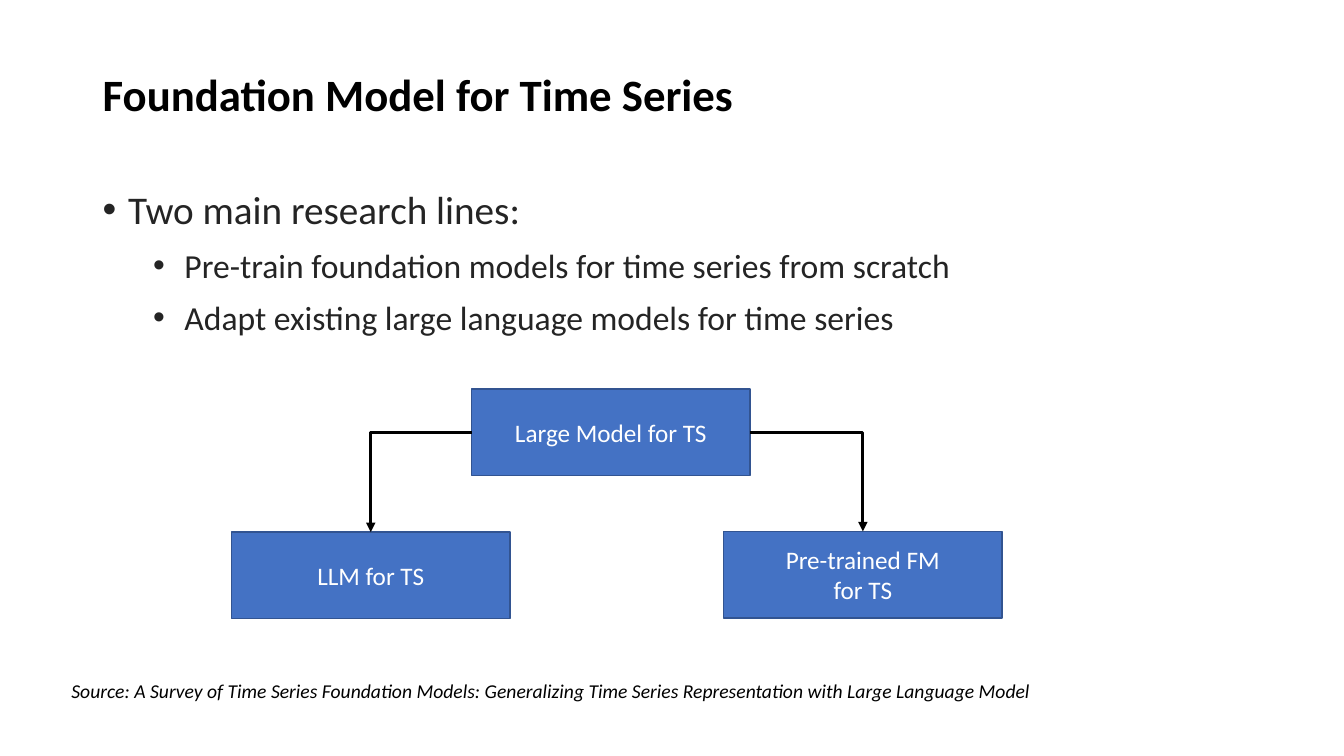
from lxml import etree
from pptx import Presentation
from pptx.dml.color import RGBColor
from pptx.enum.shapes import MSO_CONNECTOR, MSO_SHAPE
from pptx.enum.text import MSO_ANCHOR, PP_ALIGN
from pptx.oxml.ns import qn
from pptx.util import Cm, Pt

ELBOW, RECTANGLE = MSO_CONNECTOR.ELBOW, MSO_SHAPE.RECTANGLE
TOP, MIDDLE = MSO_ANCHOR.TOP, MSO_ANCHOR.MIDDLE
CENTER = PP_ALIGN.CENTER

# Content
TITLE = "Foundation Model for Time Series"
BULLETS = [  # level, text
    (0, "Two main research lines:"),
    (1, "Pre-train foundation models for time series from scratch"),
    (1, "Adapt existing large language models for time series"),
]
SOURCE = ("Source: A Survey of Time Series Foundation Models: Generalizing "
          "Time Series Representation with Large Language Model")
NODES = {  # name: (left, top, lines)
    "root": (11.89, 9.8, ["Large Model for TS"]),
    "llm": (5.84, 13.41, ["LLM for TS"]),
    "pretrained": (18.24, 13.39, ["Pre-trained FM", "for TS"]),
}
LEFT_SITE, RIGHT_SITE, TOP_SITE = 1, 3, 0
ARROWS = [("root", RIGHT_SITE, "pretrained"), ("root", LEFT_SITE, "llm")]

# Style
FONT = "Calibri"
COLORS = {"black": "000000", "body": "242424", "fill": "4472C4",
          "edge": "325491", "white": "FFFFFF"}
LEVELS = [(28, 0.64, 0.64), (24, 2.06, 0.79)]  # size, left margin, hanging
NODE_WIDTH, NODE_HEIGHT = 7.01, 2.18


def color(name):
    return RGBColor.from_string(COLORS[name])


def add_span(para, text, size, tint, bold=False, italic=False):
    span = para.add_run()
    span.text = text
    font = span.font
    font.name, font.size, font.bold, font.italic = FONT, Pt(size), bold, italic
    font.color.rgb = color(tint)


def add_box(page, left, top, width, height, anchor=TOP):
    box = page.shapes.add_textbox(Cm(left), Cm(top), Cm(width), Cm(height))
    box.text_frame.word_wrap = True
    box.text_frame.vertical_anchor = anchor
    return box.text_frame


def paragraphs(frame, items):
    for index, item in enumerate(items):
        yield (frame.add_paragraph() if index else frame.paragraphs[0]), item


def add_bullet(para, margin, hanging):
    properties = para._p.get_or_add_pPr()
    properties.set("marL", str(Cm(margin)))
    properties.set("indent", str(-Cm(hanging)))
    etree.SubElement(properties, qn("a:buFont")).set("typeface", "Arial")
    etree.SubElement(properties, qn("a:buChar")).set("char", "•")


def add_node(page, left, top, lines):
    node = page.shapes.add_shape(RECTANGLE, Cm(left), Cm(top),
                                 Cm(NODE_WIDTH), Cm(NODE_HEIGHT))
    node.shadow.inherit = False
    node.fill.solid()
    node.fill.fore_color.rgb = color("fill")
    node.line.color.rgb = color("edge")
    node.line.width = Pt(1)
    node.text_frame.word_wrap = True
    node.text_frame.vertical_anchor = MIDDLE
    for para, line in paragraphs(node.text_frame, lines):
        para.alignment = CENTER
        add_span(para, line, 18, "white")
    return node


def add_arrow(page, start, site, end):
    arrow = page.shapes.add_connector(ELBOW, 0, 0, 0, 0)
    arrow.begin_connect(start, site)
    arrow.end_connect(end, TOP_SITE)
    arrow.line.color.rgb = color("black")
    arrow.line.width = Pt(2.25)
    properties = arrow._element.spPr
    properties.find(qn("a:prstGeom")).set("prst", "bentConnector2")
    outline = arrow.line._get_or_add_ln()
    etree.SubElement(outline, qn("a:tailEnd")).set("type", "triangle")
    etree.SubElement(properties, qn("a:effectLst"))


def main():
    deck = Presentation()
    deck.slide_width, deck.slide_height = Cm(33.87), Cm(19.05)
    page = deck.slides.add_slide(deck.slide_layouts[6])

    # Title
    para = add_box(page, 2.34, 1.02, 29.21, 2.84, MIDDLE).paragraphs[0]
    para.line_spacing = 0.9
    add_span(para, TITLE, 32, "black", bold=True)

    # Bullet list
    frame = add_box(page, 2.34, 4.42, 29.21, 5.11)
    for para, (level, text) in paragraphs(frame, BULLETS):
        size, margin, hanging = LEVELS[level]
        para.level = level
        add_bullet(para, margin, hanging)
        para.line_spacing = 1.1
        para.space_before = Pt(6 if level else 0)
        add_span(para, text, size, "body")

    # Source line
    para = add_box(page, 1.55, 16.99, 30.96, 1.63).paragraphs[0]
    add_span(para, SOURCE, 14, "black", italic=True)

    # Diagram
    nodes = {name: add_node(page, *node) for name, node in NODES.items()}
    for start, site, end in ARROWS:
        add_arrow(page, nodes[start], site, nodes[end])

    deck.save("out.pptx")


if __name__ == "__main__":
    main()
